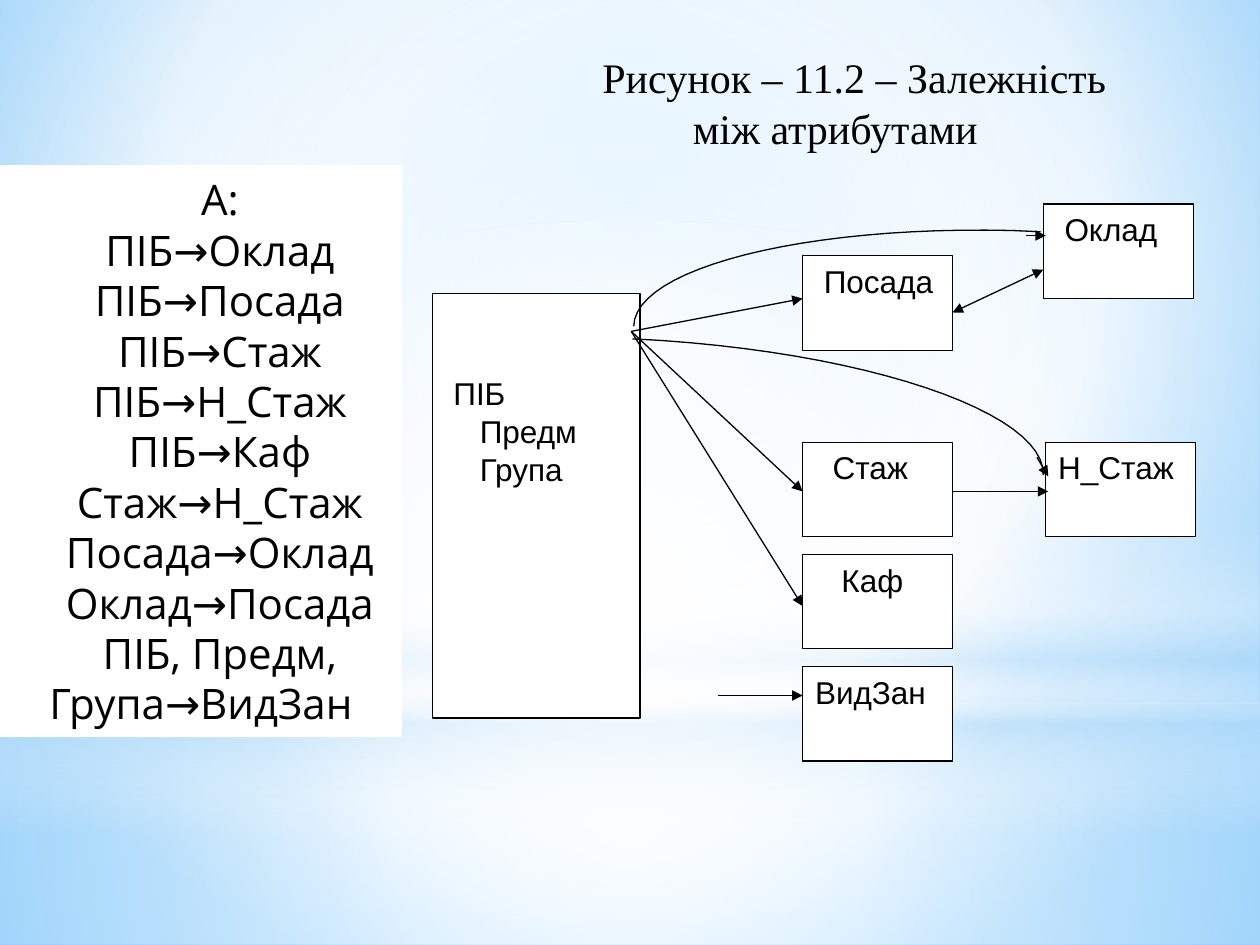
from lxml import etree
from pptx import Presentation
from pptx.dml.color import RGBColor
from pptx.enum.shapes import MSO_CONNECTOR, MSO_SHAPE
from pptx.enum.text import MSO_ANCHOR, MSO_AUTO_SIZE, PP_ALIGN
from pptx.oxml.ns import qn
from pptx.util import Inches, Pt

RECT, OVAL = MSO_SHAPE.RECTANGLE, MSO_SHAPE.OVAL
STRAIGHT = MSO_CONNECTOR.STRAIGHT
LEFT, CENTER = PP_ALIGN.LEFT, PP_ALIGN.CENTER
TOP, MIDDLE = MSO_ANCHOR.TOP, MSO_ANCHOR.MIDDLE

CAPTION = "Рисунок – 11.2 – Залежність між атрибутами"
DEPENDENCIES = [
    "А:", "ПІБ→Оклад", "ПІБ→Посада", "ПІБ→Стаж", "ПІБ→Н_Стаж", "ПІБ→Каф",
    "Стаж→Н_Стаж", "Посада→Оклад", "Оклад→Посада", "ПІБ, Предм, Група→ВидЗан",
]
KEY_ATTRIBUTES = [("ПІБ", 0.07), ("Предм", 0.28), ("Група", 0.28)]  # text, indent

MID_X, ROW_Y, ROW_STEP = 6.37, 3.51, 0.89
BOX_W, BOX_H = 1.19, 0.75
ATTRIBUTES = [  # text, indent, left, top
    ("Посада", 0.07, MID_X, 2.03),
    ("Стаж", 0.14, MID_X, ROW_Y),
    ("Каф", 0.21, MID_X, ROW_Y + ROW_STEP),
    ("ВидЗан", 0, MID_X, ROW_Y + 2 * ROW_STEP),
    ("Оклад", 0.07, 8.28, 1.62),
    ("Н_Стаж", 0, 8.3, ROW_Y),
]

KEY_EXIT = (5.01, 2.63)
ARROWS = [  # start, end, arrowhead at both ends
    ((8.14, 1.87), (8.3, 1.87), False),
    ((8.23, 3.63), (8.32, 3.78), False),
    ((7.56, 3.9), (8.32, 3.9), False),
    ((5.7, 5.52), (MID_X, 5.52), False),
    (KEY_EXIT, (MID_X, 2.37), False),
    (KEY_EXIT, (MID_X, 3.9), False),
    (KEY_EXIT, (MID_X, 4.81), False),
    ((7.56, 2.48), (8.28, 2.14), True),
]
CURVES = [  # Bezier control points
    [(8.26, 1.84), (8.03, 1.83), (8.03, 1.83), (8.03, 1.83),
     (6.38, 1.79), (5.04, 2.13), (5.03, 2.59)],
    [(5.02, 2.69), (5.03, 2.69), (5.03, 2.69), (5.04, 2.69),
     (6.85, 2.78), (8.3, 3.27), (8.28, 3.77)],
]

THEME = {
    "ink": "000000", "paper": "FFFFFF", "mist": "B4DCFA",
    "sky": "9ED5FF", "deep": "5BB9FF",
    "label": ("Arial", 18), "list": ("Open Sans", 24),
    "caption": ("Times New Roman", 24),
    "leading": 28.8, "line": 0.75,
}
CENTRED = (50, 50, 50, 50)
BACKGROUND = ([(0, "sky", 100), (60, "paper", 100), (100, "deep", 100)], (20, 10, 20, 60))
GLOWS = [  # preset, box, stops (position, colour, opacity), focus or None for vertical
    (RECT, (0, 5.58, 10, 1.92),
     [(0, "paper", 91), (37, "paper", 76), (100, "mist", 79)], CENTRED),
    (RECT, (0, 0, 10, 5.58),
     [(0, "paper", 89), (48, "paper", 62), (100, "mist", 79)], CENTRED),
    (RECT, (0, 4.12, 10, 2.5),
     [(0, "paper", 0), (29, "paper", 30), (45, "mist", 40), (55, "paper", 26),
      (65, "mist", 60), (100, "paper", 0)], None),
    (OVAL, (0, 1.75, 10, 5.58), [(0, "paper", 100), (56, "paper", 0)], CENTRED),
]


def color(name):
    """Return a theme colour."""
    return RGBColor.from_string(THEME[name])


def set_gradient(element, stops, focus):
    """Swap the solid fill inside an element for a gradient."""
    grad = etree.Element(qn("a:gradFill"), rotWithShape="1")
    gs_list = etree.SubElement(grad, qn("a:gsLst"))
    for pos, name, opacity in stops:
        gs = etree.SubElement(gs_list, qn("a:gs"), pos=str(pos * 1000))
        clr = etree.SubElement(gs, qn("a:srgbClr"), val=THEME[name])
        if opacity < 100:
            etree.SubElement(clr, qn("a:alpha"), val=str(opacity * 1000))
    if focus:
        circle = etree.SubElement(grad, qn("a:path"), path="circle")
        sides = {k: str(v * 1000) for k, v in zip("ltrb", focus)}
        etree.SubElement(circle, qn("a:fillToRect"), sides)
    else:
        etree.SubElement(grad, qn("a:lin"), ang="5400000", scaled="0")
    solid = element.find(".//" + qn("a:solidFill"))
    solid.getparent().replace(solid, grad)


def add_box(slide, preset, box, outlined=True):
    """Add a white shape, with or without a thin outline."""
    sp = slide.shapes.add_shape(preset, *map(Inches, box))
    sp.shadow.inherit = False
    sp.fill.solid()
    sp.fill.fore_color.rgb = color("paper")
    if outlined:
        sp.line.color.rgb = color("ink")
        sp.line.width = Pt(THEME["line"])
    else:
        sp.line.fill.background()
    return sp


def write(sp, lines, style, align=LEFT, anchor=TOP, leading=None, first=0):
    """Write (text, left indent) lines in one theme style."""
    tf = sp.text_frame
    tf.word_wrap = True
    tf.auto_size = MSO_AUTO_SIZE.NONE
    tf.vertical_anchor = anchor
    name, size = THEME[style]
    for i, (text, indent) in enumerate(lines):
        p = tf.add_paragraph() if i else tf.paragraphs[0]
        p.text = text
        p.alignment = align
        p.space_before = Pt(0)
        if leading:
            p.line_spacing = Pt(leading)
        pPr = p._p.get_or_add_pPr()
        pPr.set("marL", str(Inches(indent)))
        pPr.set("indent", str(Inches(first)))
        etree.SubElement(pPr, qn("a:buNone"))
        font = p.runs[0].font
        font.name, font.size = name, Pt(size)
        font.color.rgb = color("ink")


def place(slide, sp, box):
    """Move a placeholder to a box and bring it to the front."""
    sp.left, sp.top, sp.width, sp.height = map(Inches, box)
    slide.shapes._spTree.append(sp._element)


def add_arrow(slide, start, end, both):
    """Add a straight arrow with one or two heads."""
    line = slide.shapes.add_connector(STRAIGHT, *map(Inches, start + end))
    line.line.color.rgb = color("ink")
    line.line.width = Pt(THEME["line"])
    ln = line.line._get_or_add_ln()
    for tag in ["a:headEnd"] * both + ["a:tailEnd"]:
        etree.SubElement(ln, qn(tag), type="triangle")
    etree.SubElement(line._element.spPr, qn("a:effectLst"))


def add_curve(slide, points, steps=24):
    """Trace joined cubic Bezier segments as an open outline."""
    trace = []
    for i in range(0, len(points) - 1, 3):
        for t in (n / steps for n in range(steps + 1)):
            weights = ((1 - t) ** 3, 3 * t * (1 - t) ** 2, 3 * t * t * (1 - t), t ** 3)
            trace.append(tuple(
                Inches(sum(w * pt[axis] for w, pt in zip(weights, points[i:i + 4])))
                for axis in (0, 1)))
    builder = slide.shapes.build_freeform(*trace[0])
    builder.add_line_segments(trace[1:], close=False)
    sp = builder.convert_to_shape()
    sp.shadow.inherit = False
    sp.fill.background()
    sp.line.color.rgb = color("ink")
    sp.line.width = Pt(THEME["line"])


def main():
    """Build and save the slide."""
    prs = Presentation()
    prs.slide_width, prs.slide_height = Inches(10), Inches(7.5)
    slide = prs.slides.add_slide(prs.slide_layouts[1])
    title, body = slide.placeholders

    slide.background.fill.solid()
    set_gradient(slide.element.find(".//" + qn("p:bg")), *BACKGROUND)
    for preset, box, stops, focus in GLOWS:
        glow = add_box(slide, preset, box, outlined=False)
        set_gradient(glow._element.spPr, stops, focus)

    key = add_box(slide, RECT, (3.43, 2.33, 1.65, 3.37))
    write(key, KEY_ATTRIBUTES, "label")
    key.text_frame.margin_top = Inches(0.64)
    for text, indent, left, top in ATTRIBUTES:
        sp = add_box(slide, RECT, (left, top, BOX_W, BOX_H))
        write(sp, [(text, indent)], "label")
    for points in CURVES:
        add_curve(slide, points)
    for arrow in ARROWS:
        add_arrow(slide, *arrow)

    place(slide, body, (0, 1.31, 3.19, 4.54))
    body.fill.solid()
    body.fill.fore_color.rgb = color("paper")
    write(body, [(d, 0) for d in DEPENDENCIES], "list", CENTER, MIDDLE,
          THEME["leading"], 0.3)
    place(slide, title, (4.13, 0.36, 5, 0.91))
    write(title, [(CAPTION, 0)], "caption", CENTER, TOP, THEME["leading"], 0.3)
    prs.save("out.pptx")


main()
